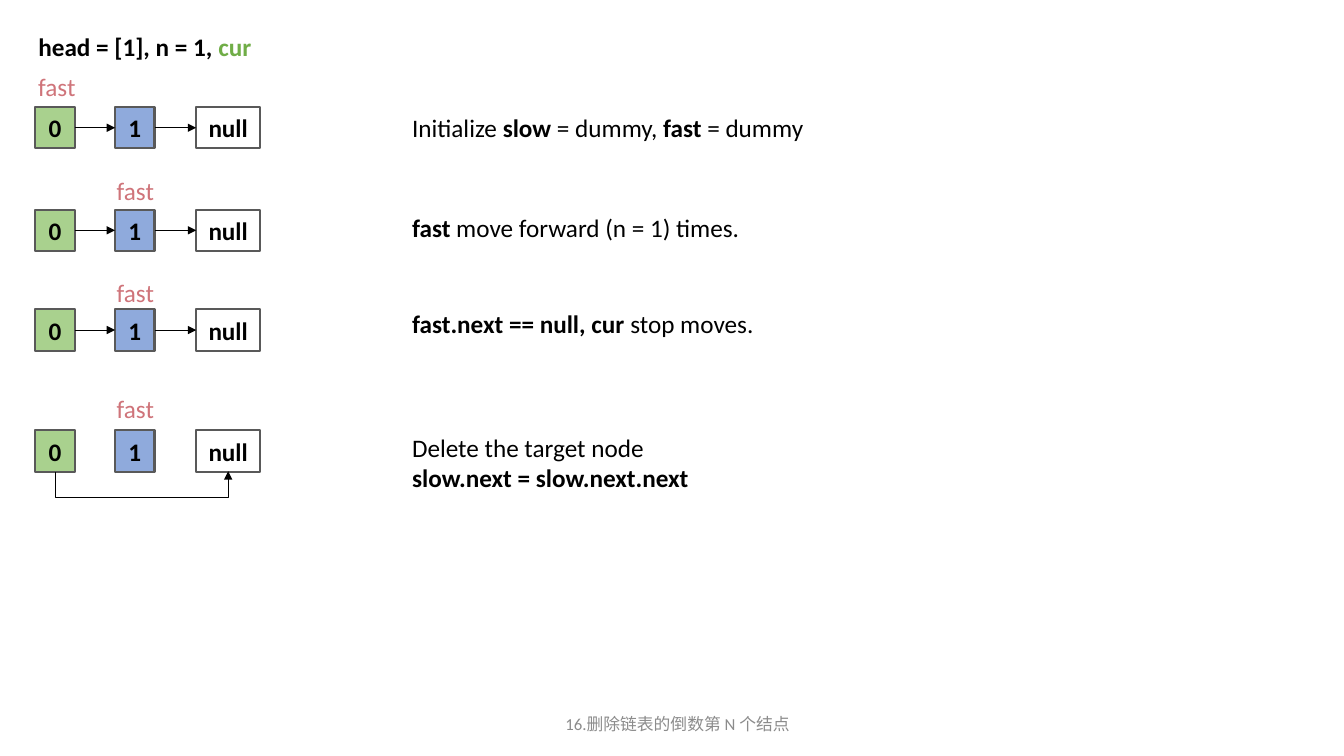
from lxml import etree
from pptx import Presentation
from pptx.dml.color import RGBColor
from pptx.enum.shapes import MSO_CONNECTOR, MSO_SHAPE
from pptx.enum.text import MSO_ANCHOR, MSO_AUTO_SIZE, PP_ALIGN
from pptx.oxml.ns import qn
from pptx.util import Pt

BLACK = RGBColor(0x00, 0x00, 0x00)
WHITE = RGBColor(0xFF, 0xFF, 0xFF)
OUTLINE = RGBColor(0x59, 0x59, 0x59)
DUMMY_GREEN = RGBColor(0xA9, 0xD1, 0x8E)
NODE_BLUE = RGBColor(0x8F, 0xAA, 0xDC)
CUR_GREEN = RGBColor(0x70, 0xAD, 0x47)
FAST_RED = RGBColor(0xCF, 0x74, 0x7A)
FOOTER_GRAY = RGBColor(0x8C, 0x8C, 0x8C)

NODE_HEIGHT = 29.5
NODES = [
    ("0", 0, 28.2, DUMMY_GREEN),
    ("1", 57, 28.2, NODE_BLUE),
    ("null", 115, 45.6, WHITE),
]
LIST_LEFT = 25.2
NOTE_LEFT = 287.3

STEPS = [
    (76.5, 47.5, 20.2, 77, [("Initialize ", False), ("slow", True), (" = dummy, ", False),
                            ("fast", True), (" = dummy", False)]),
    (149.8, 121.7, 76.3, 148.3, [("fast", True), (" move forward (n = 1) times.", False)]),
    (221, 194.4, 76.3, 216.7, [("fast.next == null, cur ", True), ("stop moves.", False)]),
    (307.4, 277.2, 76.3, 305.3, [("Delete the target node", False), ("\n", False),
                                 ("slow.next = slow.next.next", True)]),
]


def write_runs(para, runs, size=18):
    for text, bold, color in runs:
        if text == "\n":
            para.add_line_break()
            continue
        span = para.add_run()
        span.text = text
        span.font.name = "Calibri"
        span.font.size = Pt(size)
        span.font.bold = bold
        span.font.color.rgb = color


def add_text(page, left, top, width, height, runs):
    box = page.shapes.add_textbox(Pt(left), Pt(top), Pt(width), Pt(height))
    box.text_frame.word_wrap = True
    write_runs(box.text_frame.paragraphs[0], runs)


def add_title(page, left, top, width, height):
    title = page.shapes.title
    title.left, title.top, title.width, title.height = Pt(left), Pt(top), Pt(width), Pt(height)
    frame = title.text_frame
    frame.auto_size = MSO_AUTO_SIZE.NONE
    frame.vertical_anchor = MSO_ANCHOR.TOP
    frame.word_wrap = True
    para = frame.paragraphs[0]
    para.alignment = PP_ALIGN.LEFT
    write_runs(para, [("head = [1], n = 1, ", True, BLACK), ("cur", True, CUR_GREEN)])


def add_node(page, left, top, width, label, fill):
    node = page.shapes.add_shape(MSO_SHAPE.RECTANGLE, Pt(left), Pt(top), Pt(width), Pt(NODE_HEIGHT))
    node.shadow.inherit = False
    node.fill.solid()
    node.fill.fore_color.rgb = fill
    node.line.color.rgb = OUTLINE
    node.line.width = Pt(1.5)
    frame = node.text_frame
    frame.margin_left = frame.margin_right = 0
    frame.vertical_anchor = MSO_ANCHOR.MIDDLE
    para = frame.paragraphs[0]
    para.alignment = PP_ALIGN.CENTER
    write_runs(para, [(label, True, BLACK)])


def add_arrow(page, kind, start, end):
    arrow = page.shapes.add_connector(kind, Pt(start[0]), Pt(start[1]), Pt(end[0]), Pt(end[1]))
    arrow.line.color.rgb = BLACK
    arrow.line.width = Pt(0.5)
    properties = arrow._element.spPr
    etree.SubElement(properties.find(qn("a:ln")), qn("a:tailEnd"), type="triangle")
    etree.SubElement(properties, qn("a:effectLst"))
    return arrow


def add_bypass(page, left, right, bottom, depth=18, thickness=0.5):
    middle = (left + right) / 2
    half = (right - left) / 2
    arrow = add_arrow(page, MSO_CONNECTOR.ELBOW,
                      (middle + thickness / 2, bottom + half),
                      (middle - thickness / 2, bottom - half))
    properties = arrow._element.spPr
    properties.find(qn("a:xfrm")).set("rot", "5400000")
    guides = properties.find(qn("a:prstGeom")).get_or_add_avLst()
    ratio = round(-depth / thickness * 100000)
    etree.SubElement(guides, qn("a:gd"), name="adj1", fmla=f"val {ratio}")


def add_linked_list(page, left, top, deleted):
    for label, offset, width, fill in NODES:
        add_node(page, left + offset, top, width, label, fill)
    if deleted:
        first, last = NODES[0], NODES[-1]
        add_bypass(page, left + first[1] + first[2] / 2, left + last[1] + last[2] / 2,
                   top + NODE_HEIGHT)
        return
    middle = top + NODE_HEIGHT / 2
    for source, target in zip(NODES, NODES[1:]):
        add_arrow(page, MSO_CONNECTOR.STRAIGHT,
                  (left + source[1] + source[2], middle), (left + target[1], middle))


def add_step(page, list_top, label_top, label_left, note_top, note, deleted):
    add_linked_list(page, LIST_LEFT, list_top, deleted)
    add_text(page, label_left, label_top, 45.4, 29, [("fast", False, FAST_RED)])
    add_text(page, NOTE_LEFT, note_top, 310, 51 if deleted else 29,
             [(text, bold, BLACK) for text, bold in note])


def add_footer(page, left, top, width, height):
    box = page.shapes.add_textbox(Pt(left), Pt(top), Pt(width), Pt(height))
    box.text_frame.word_wrap = True
    box.text_frame.vertical_anchor = MSO_ANCHOR.MIDDLE
    para = box.text_frame.paragraphs[0]
    para.alignment = PP_ALIGN.CENTER
    write_runs(para, [("16.删除链表的倒数第 N 个结点", False, FOOTER_GRAY)], 12)


def main():
    deck = Presentation()
    deck.slide_width, deck.slide_height = Pt(960), Pt(540)
    page = deck.slides.add_slide(deck.slide_layouts[5])
    add_title(page, 20.2, 18.7, 325.4, 29)
    for step in STEPS:
        add_step(page, *step, deleted=step is STEPS[-1])
    add_footer(page, 322, 502.5, 324, 28.8)
    deck.save("out.pptx")


if __name__ == "__main__":
    main()
